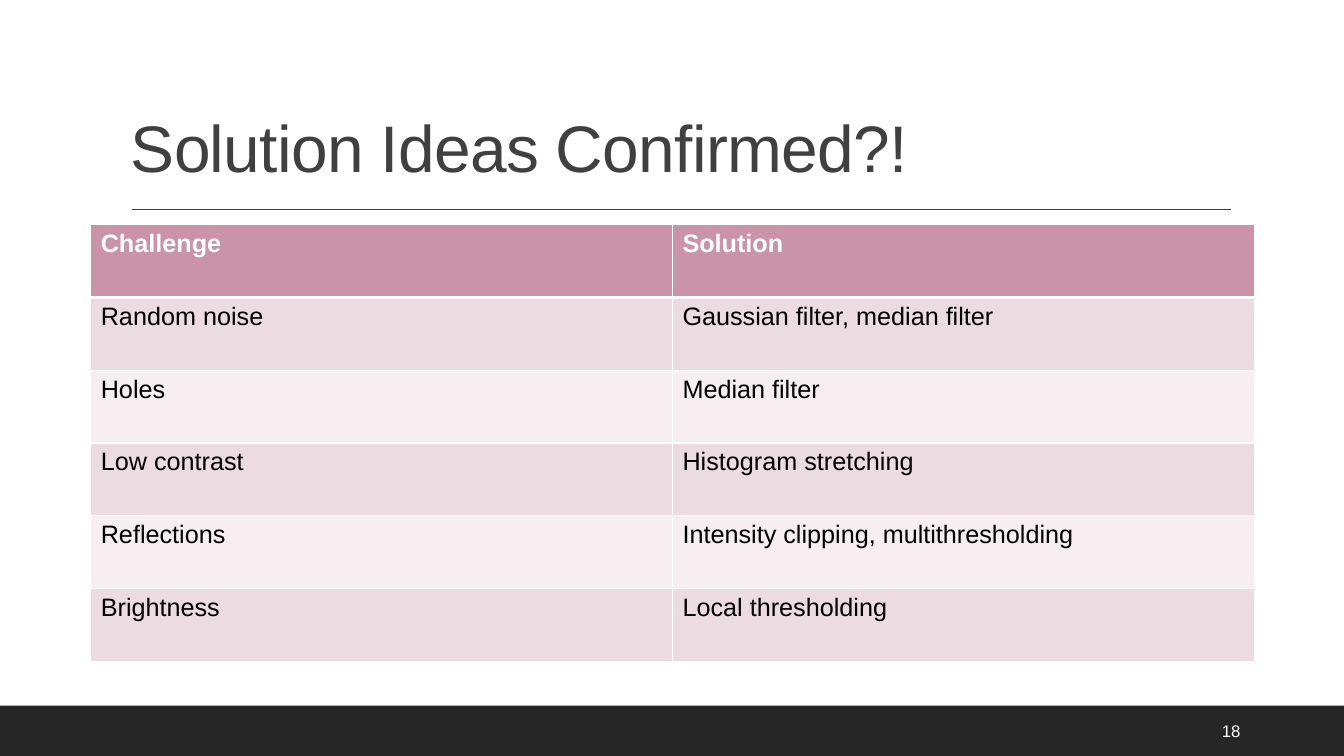
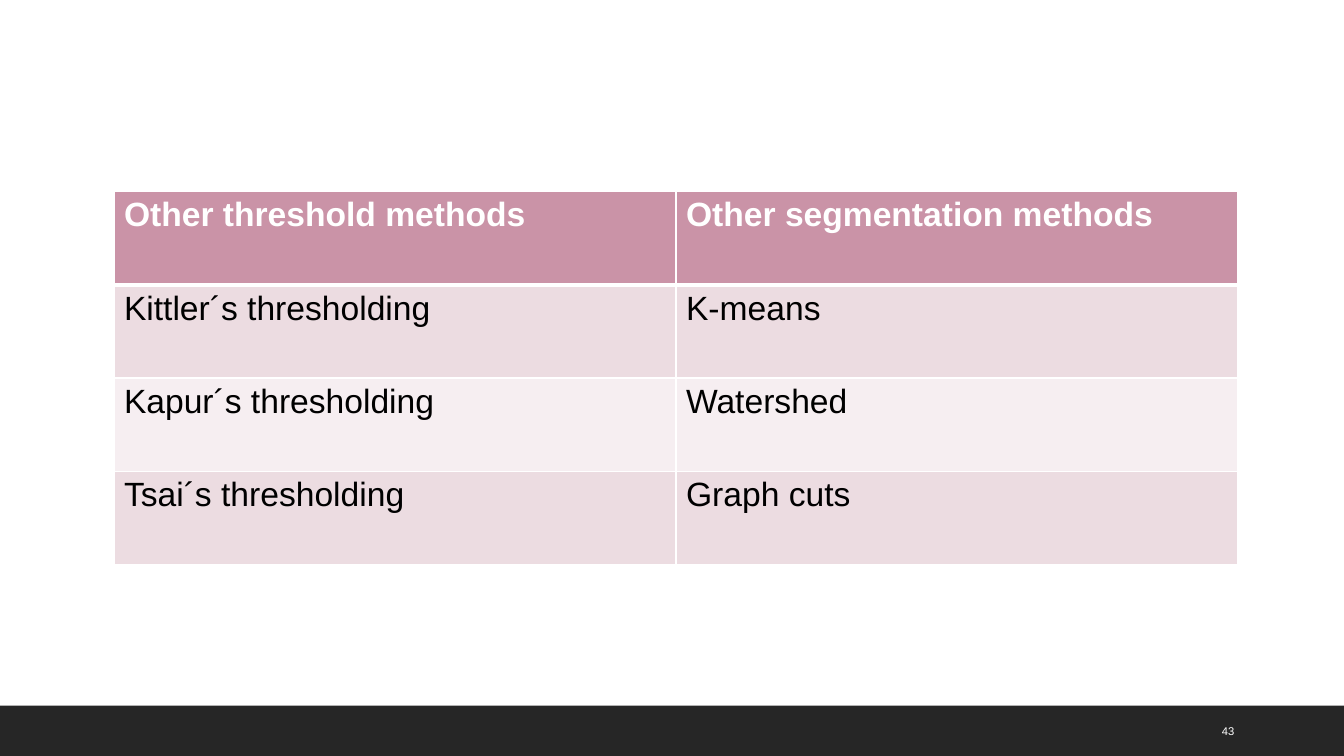
from dataclasses import dataclass
from typing import Optional

from lxml import etree
from pptx import Presentation
from pptx.dml.color import RGBColor
from pptx.enum.shapes import MSO_CONNECTOR, MSO_SHAPE
from pptx.enum.text import MSO_ANCHOR
from pptx.oxml.ns import qn
from pptx.util import Inches, Pt

RECTANGLE = MSO_SHAPE.RECTANGLE
STRAIGHT = MSO_CONNECTOR.STRAIGHT
MIDDLE = MSO_ANCHOR.MIDDLE
BOTTOM = MSO_ANCHOR.BOTTOM

FONT = "Arial"
COLOURS = {
    "band": "262626",
    "title": "404040",
    "header": "CA93A7",
    "odd_row": "ECDCE1",
    "even_row": "F6EEF1",
    "white": "FFFFFF",
    "black": "000000",
}
SLIDE_WIDTH, SLIDE_HEIGHT = 13.33, 7.5
BAND_HEIGHT = 0.5
THIN_BORDER, HEADER_BORDER = 1, 3


@dataclass
class TableSlide:
    rows: list[tuple[str, str]]
    left: float
    top: float
    width: float
    height: float
    text_size: int
    number: int
    number_size: int
    title: Optional[str] = None


SLIDES = [
    TableSlide(
        title="Solution Ideas Confirmed?!",
        rows=[
            ("Challenge", "Solution"),
            ("Random noise", "Gaussian filter, median filter"),
            ("Holes", "Median filter"),
            ("Low contrast", "Histogram stretching"),
            ("Reflections", "Intensity clipping, multithresholding"),
            ("Brightness", "Local thresholding"),
        ],
        left=0.9, top=2.23, width=11.54, height=4.33,
        text_size=18, number=18, number_size=12,
    ),
    TableSlide(
        rows=[
            ("Other threshold methods", "Other segmentation methods"),
            ("Kittler´s thresholding", "K-means"),
            ("Kapur´s thresholding", "Watershed"),
            ("Tsai´s thresholding", "Graph cuts"),
        ],
        left=1.13, top=1.9, width=11.15, height=3.7,
        text_size=24, number=43, number_size=8,
    ),
]


def colour(name: str) -> RGBColor:
    return RGBColor.from_string(COLOURS[name])


def style_text(frame, size: float, colour_name: str, bold: bool = False) -> None:
    for paragraph in frame.paragraphs:
        for span in paragraph.runs:
            span.font.name = FONT
            span.font.size = Pt(size)
            span.font.bold = bold
            span.font.color.rgb = colour(colour_name)


def add_text(page, text: str, left: float, top: float, width: float,
             height: float, size: float, colour_name: str, anchor):
    box = page.shapes.add_textbox(
        Inches(left), Inches(top), Inches(width), Inches(height))
    frame = box.text_frame
    frame.word_wrap = True
    frame.vertical_anchor = anchor
    frame.text = text
    style_text(frame, size, colour_name)
    return frame.paragraphs[0]


def add_title(page, text: str) -> None:
    # Rule under the title
    rule = page.shapes.add_connector(
        STRAIGHT, Inches(1.31), Inches(2.08), Inches(12.21), Inches(2.08))
    rule.line.color.rgb = colour("title")
    rule.line.width = Pt(1)
    etree.SubElement(rule._element.spPr, qn("a:effectLst"))

    paragraph = add_text(page, text, 1.2, 0.31, 11, 1.59, 47, "title", BOTTOM)
    paragraph.line_spacing = 0.9
    paragraph.runs[0].font._element.set("spc", "-50")


def add_footer(page, number: int, size: int) -> None:
    band = page.shapes.add_shape(
        RECTANGLE, 0, Inches(SLIDE_HEIGHT - BAND_HEIGHT),
        Inches(SLIDE_WIDTH), Inches(BAND_HEIGHT))
    band.shadow.inherit = False
    band.fill.solid()
    band.fill.fore_color.rgb = colour("band")
    band.line.fill.background()
    add_text(page, str(number), 12.02, 7.05, 0.85, 0.4, size, "white", MIDDLE)


def set_borders(cell, top: float, bottom: float) -> None:
    widths = {"lnL": THIN_BORDER, "lnR": THIN_BORDER, "lnT": top, "lnB": bottom}
    properties = cell._tc.get_or_add_tcPr()
    for side, width in widths.items():
        line = etree.SubElement(properties, qn(f"a:{side}"), w=str(Pt(width)))
        fill = etree.SubElement(line, qn("a:solidFill"))
        etree.SubElement(fill, qn("a:srgbClr"), val=COLOURS["white"])


def add_table(page, content: TableSlide) -> None:
    row_count, column_count = len(content.rows), len(content.rows[0])
    table = page.shapes.add_table(
        row_count, column_count, Inches(content.left), Inches(content.top),
        Inches(content.width), Inches(content.height)).table
    table.horz_banding = False

    for row_index, texts in enumerate(content.rows):
        is_header = row_index == 0
        if is_header:
            fill_name = "header"
        else:
            fill_name = "odd_row" if row_index % 2 else "even_row"
        for column_index, text in enumerate(texts):
            cell = table.cell(row_index, column_index)
            set_borders(
                cell,
                top=HEADER_BORDER if row_index == 1 else THIN_BORDER,
                bottom=HEADER_BORDER if is_header else THIN_BORDER)
            cell.fill.solid()
            cell.fill.fore_color.rgb = colour(fill_name)
            cell.text_frame.text = text
            style_text(cell.text_frame, content.text_size,
                       "white" if is_header else "black", bold=is_header)


def main() -> None:
    deck = Presentation()
    deck.slide_width = Inches(SLIDE_WIDTH)
    deck.slide_height = Inches(SLIDE_HEIGHT)
    blank = deck.slide_layouts[6]

    for content in SLIDES:
        page = deck.slides.add_slide(blank)
        add_footer(page, content.number, content.number_size)
        if content.title:
            add_title(page, content.title)
        add_table(page, content)

    deck.save("out.pptx")


if __name__ == "__main__":
    main()
